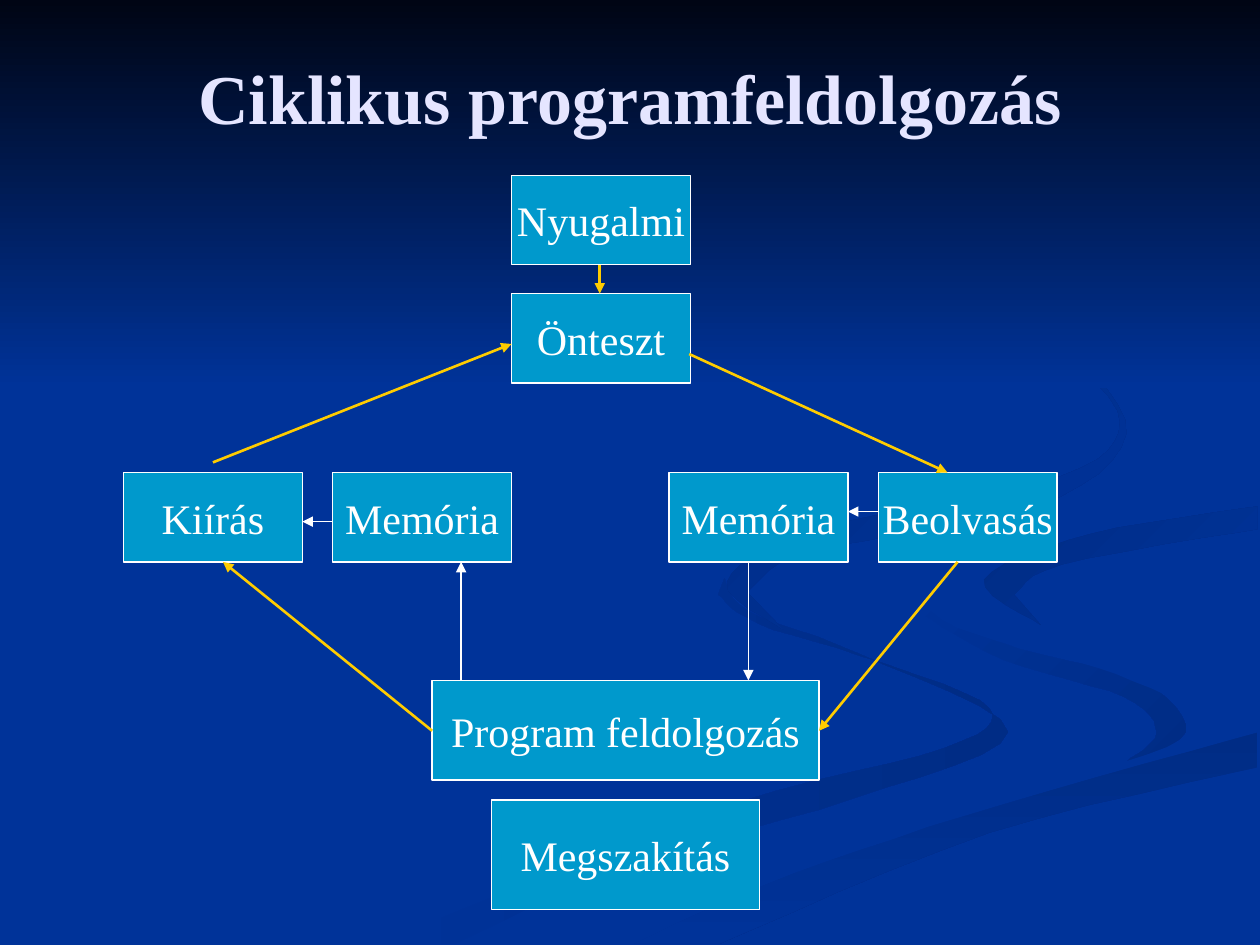
"""Build the slide on cyclic program processing: a flow of states over a ribbon backdrop."""
from dataclasses import dataclass

from lxml import etree
from pptx import Presentation
from pptx import util as u
from pptx.dml.color import RGBColor
from pptx.enum import shapes, text
from pptx.oxml.ns import qn
from pptx.slide import Slide
from pptx.text.text import TextFrame

PX = 9144
STEPS = 6
FONT = "Times New Roman"
BLUE = RGBColor(0x00, 0x33, 0x99)
DEEP_BLUE = RGBColor(0x00, 0x2C, 0x85)
NIGHT = RGBColor(0x00, 0x05, 0x14)
CYAN = RGBColor(0x00, 0x99, 0xCC)
WHITE = RGBColor(0xFF, 0xFF, 0xFF)
GOLD = RGBColor(0xFF, 0xCC, 0x00)
LAVENDER = RGBColor(0xE5, 0xE5, 0xFF)

Point = tuple[int, int]
Edge = tuple[Point, ...]


@dataclass(frozen=True)
class Ribbon:
    start: RGBColor
    end: RGBColor
    angle: int
    edges: tuple[Edge, ...]


@dataclass(frozen=True)
class State:
    label: str
    left: int
    top: int
    width: int = 142
    height: int = 71


@dataclass(frozen=True)
class Arrow:
    begin: Point
    end: Point
    color: RGBColor = GOLD
    weight: float = 1.5


RIBBONS = (
    Ribbon(BLUE, DEEP_BLUE, 0, (
        ((361, 749), (499, 687), (676, 634), (800, 581), (682, 519), (594, 485), (575, 459)),
        ((570, 472), (602, 495), (697, 525), (785, 562), (749, 594), (579, 639), (300, 749)))),
    Ribbon(BLUE, DEEP_BLUE, 45, (
        ((894, 605), (941, 581), (905, 540), (792, 509), (724, 464)),
        ((733, 488), (797, 524), (892, 553), (918, 581), (894, 605)))),
    Ribbon(DEEP_BLUE, BLUE, 90, (
        ((503, 749), (630, 693), (797, 638), (998, 581)),
        ((998, 609), (785, 661), (571, 749)))),
    Ribbon(BLUE, BLUE, 0, (
        ((477, 749), (619, 684), (780, 634), (926, 593), (939, 562), (871, 530),
         (759, 498), (725, 464), (742, 439), (830, 415), (999, 387)),
        ((999, 402), (865, 424), (782, 460), (832, 498), (999, 538)),
        ((999, 581), (797, 638), (630, 693), (503, 749)))),
    Ribbon(DEEP_BLUE, BLUE, 45, (
        ((998, 402), (865, 424), (781, 460), (826, 496)),
        ((805, 472), (843, 448), (998, 420)))),
    Ribbon(DEEP_BLUE, BLUE, 45, (
        ((683, 430), (825, 402), (894, 344), (843, 275), (762, 233)),
        ((846, 279), (889, 335), (842, 378), (649, 420), (577, 462), (622, 500)),
        ((593, 470), (624, 444), (683, 430)))),
    Ribbon(NIGHT, BLUE, 90, (((0, 0), (0, 308)), ((1000, 308), (1000, 0)))),
)

STATES = (
    State("Nyugalmi", 406, 139),
    State("Önteszt", 406, 233),
    State("Beolvasás", 697, 375),
    State("Memória", 531, 375),
    State("Kiírás", 98, 375),
    State("Memória", 264, 375),
    State("Program feldolgozás", 343, 540, 307, 79),
    State("Megszakítás", 390, 635, 213, 87),
)

ARROWS = (
    Arrow((547, 281), (752, 375)),
    Arrow((760, 446), (650, 580)),
    Arrow((343, 580), (177, 446)),
    Arrow((169, 367), (406, 273)),
    Arrow((476, 210), (476, 233)),
    Arrow((697, 406), (673, 406), WHITE, 0.75),
    Arrow((264, 414), (240, 414), WHITE, 0.75),
    Arrow((594, 446), (594, 540), WHITE, 0.75),
    Arrow((366, 540), (366, 446), WHITE, 0.75),
)


def blend(a: int, b: int, c: int, d: int, t: float) -> int:
    """Return the Catmull-Rom value between b and c."""
    bend = (c - a) * t + (2 * a - 5 * b + 4 * c - d) * t**2 + (3 * b - a - 3 * c + d) * t**3
    return round(b + bend / 2)


def smooth(edge: Edge) -> list[Point]:
    """Return a curve through the points of an edge."""
    knots = (edge[0], *edge, edge[-1])
    curve = [edge[0]]
    for a, b, c, d in zip(knots, knots[1:], knots[2:], knots[3:]):
        for step in range(1, STEPS + 1):
            t = step / STEPS
            curve.append((blend(a[0], b[0], c[0], d[0], t), blend(a[1], b[1], c[1], d[1], t)))
    return curve


def draw_ribbon(slide: Slide, ribbon: Ribbon) -> None:
    """Draw one closed ribbon with its gradient."""
    first, *rest = [point for edge in ribbon.edges for point in smooth(edge)]
    builder = slide.shapes.build_freeform(*first, scale=PX)
    builder.add_line_segments(rest, close=True)
    band = builder.convert_to_shape()
    band.shadow.inherit = False
    band.line.fill.background()
    band.fill.gradient()
    band.fill.gradient_angle = (360 - ribbon.angle) % 360
    for stop, color in zip(band.fill.gradient_stops, (ribbon.start, ribbon.end)):
        stop.color.rgb = color


def write(frame: TextFrame, wording: str, size: int, color: RGBColor, bold: bool = False) -> None:
    """Fill a frame with one centred line."""
    frame.text = wording
    frame.vertical_anchor = text.MSO_ANCHOR.MIDDLE
    line = frame.paragraphs[0]
    line.alignment = text.PP_ALIGN.CENTER
    font = line.runs[0].font
    font.name, font.size, font.bold = FONT, u.Pt(size), bold
    font.color.rgb = color


def place_title(slide: Slide, wording: str) -> None:
    """Put the title in front of the backdrop."""
    title = slide.shapes.title
    slide.shapes._spTree.append(title._element)
    title.left, title.top, title.width, title.height = (n * PX for n in (50, 30, 900, 93))
    write(title.text_frame, wording, 40, LAVENDER, bold=True)


def draw_state(slide: Slide, state: State) -> None:
    """Draw one labelled state box."""
    bounds = (n * PX for n in (state.left, state.top, state.width, state.height))
    box = slide.shapes.add_shape(shapes.MSO_SHAPE.RECTANGLE, *bounds)
    box.shadow.inherit = False
    box.fill.solid()
    box.fill.fore_color.rgb = CYAN
    box.line.color.rgb = WHITE
    box.line.width = u.Pt(0.75)
    box.text_frame.word_wrap = False
    write(box.text_frame, state.label, 24, WHITE)


def draw_arrow(slide: Slide, arrow: Arrow) -> None:
    """Draw one arrow with its head at the end."""
    ends = (n * PX for n in arrow.begin + arrow.end)
    link = slide.shapes.add_connector(shapes.MSO_CONNECTOR.STRAIGHT, *ends)
    link.line.color.rgb = arrow.color
    link.line.width = u.Pt(arrow.weight)
    etree.SubElement(link.line._get_or_add_ln(), qn("a:tailEnd"), type="triangle")
    etree.SubElement(link._element.spPr, qn("a:effectLst"))


def main() -> None:
    """Build and save the slide."""
    deck = Presentation()
    deck.slide_width, deck.slide_height = 1000 * PX, 750 * PX
    slide = deck.slides.add_slide(deck.slide_layouts[5])
    slide.background.fill.solid()
    slide.background.fill.fore_color.rgb = BLUE
    for ribbon in RIBBONS:
        draw_ribbon(slide, ribbon)
    place_title(slide, "Ciklikus programfeldolgozás")
    for state in STATES:
        draw_state(slide, state)
    for arrow in ARROWS:
        draw_arrow(slide, arrow)
    deck.save("out.pptx")


if __name__ == "__main__":
    main()
